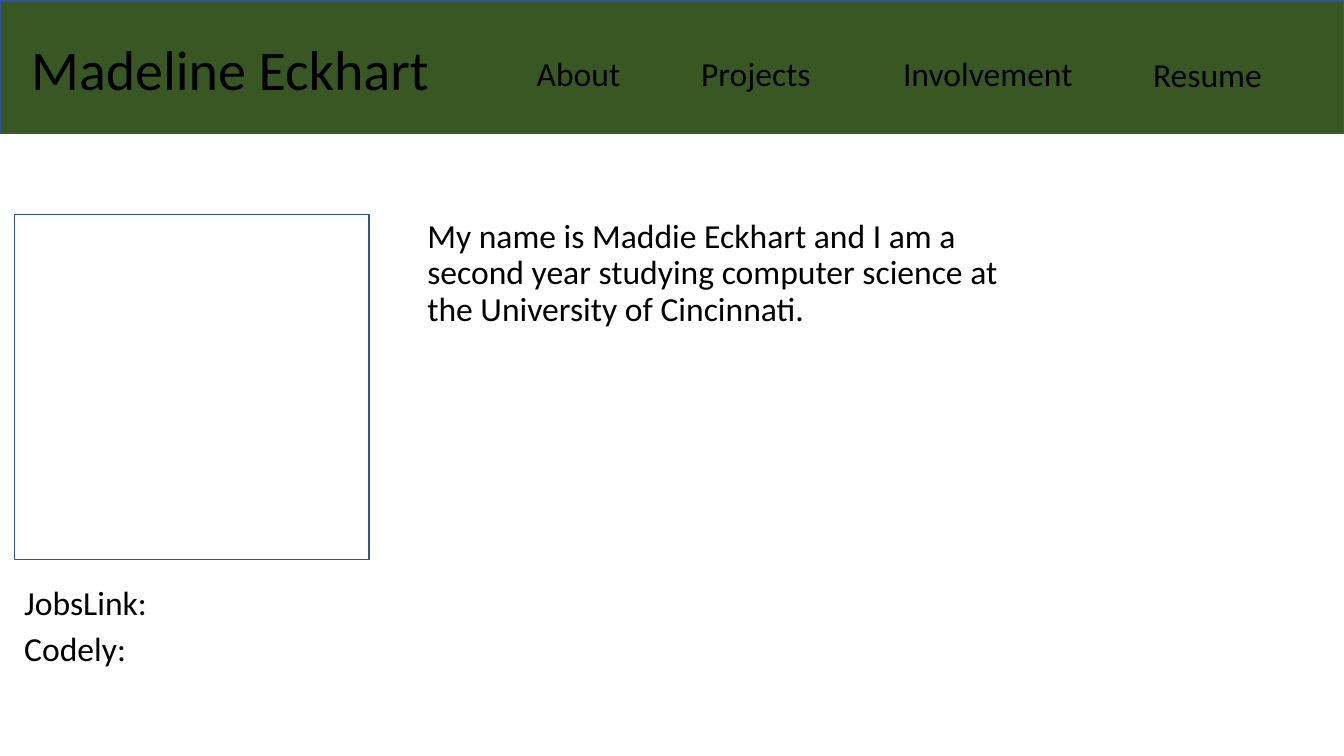
import pptx
import pptx.dml.color
import pptx.enum.shapes
import pptx.enum.text
import pptx.util

Cm, Pt = pptx.util.Cm, pptx.util.Pt
RGBColor = pptx.dml.color.RGBColor
ALIGN = pptx.enum.text.PP_ALIGN
ANCHOR = pptx.enum.text.MSO_ANCHOR

GREEN = RGBColor(0x38, 0x57, 0x23)
BLUE = RGBColor(0x32, 0x54, 0x91)
BLACK = RGBColor(0, 0, 0)

HEADING = {"alignment": ALIGN.CENTER, "line_spacing": 0.9, "space_before": Pt(0)}
BODY = {"alignment": ALIGN.LEFT, "line_spacing": 0.9, "space_before": Pt(10)}
CONTACT = {**BODY, "line_spacing": 0.8}

NAV = [
    ("About", 12.55, 0.91, 4.06),
    ("Projects", 17.02, 0.91, 4.06),
    ("Involvement", 22.48, 0.91, 4.83),
    ("Resume", 28.4, 0.94, 4.06),
]


def set_attrs(obj, values):
    """Set each named attribute of an object."""
    for name, value in values.items():
        setattr(obj, name, value)


def place(sp, left, top, width, height):
    """Position and size a shape in centimetres."""
    set_attrs(sp, {"left": Cm(left), "top": Cm(top), "width": Cm(width), "height": Cm(height)})


def write(sp, lines, para, size=24, anchor=ANCHOR.TOP):
    """Fill a shape with formatted paragraphs."""
    tf = sp.text_frame
    tf.text = "\n".join(lines)
    set_attrs(tf, {"word_wrap": True, "vertical_anchor": anchor,
                   "auto_size": pptx.enum.text.MSO_AUTO_SIZE.NONE})
    for p in tf.paragraphs:
        set_attrs(p, para)
        for r in p.runs:
            set_attrs(r.font, {"size": Pt(size), "name": "Calibri"})
            r.font.color.rgb = BLACK


def add_text(s, box, lines, para, **options):
    """Add a text box."""
    sp = s.shapes.add_textbox(*map(Cm, box))
    write(sp, lines, para, **options)


def add_rect(s, box, fill=None):
    """Add a blue-outlined rectangle with an optional fill."""
    sp = s.shapes.add_shape(pptx.enum.shapes.MSO_SHAPE.RECTANGLE, *map(Cm, box))
    sp.shadow.inherit = False
    sp.line.color.rgb = BLUE
    sp.line.width = Pt(1)
    if fill is None:
        sp.fill.background()
    else:
        sp.fill.solid()
        sp.fill.fore_color.rgb = fill
    return sp


def main():
    """Build the home page slide."""
    prs = pptx.Presentation()
    set_attrs(prs, {"slide_width": Cm(33.87), "slide_height": Cm(19.05)})
    s = prs.slides.add_slide(prs.slide_layouts[5])

    band = add_rect(s, (0, 0.03, 33.87, 3.33), GREEN)
    title = s.shapes.title
    title._element.addprevious(band._element)
    place(title, 0.36, 0.79, 10.87, 1.93)
    write(title, ["Madeline Eckhart"], HEADING, size=40, anchor=ANCHOR.BOTTOM)

    add_text(s, (10.52, 5.41, 15.37, 11.94),
             ["My name is Maddie Eckhart and I am a second year studying "
              "computer science at the University of Cincinnati."], BODY)
    add_rect(s, (0.36, 5.41, 8.94, 8.69))
    add_text(s, (0.36, 14.73, 15.37, 3.68), ["JobsLink:", "Codely:"], CONTACT)
    for label, left, top, width in NAV:
        add_text(s, (left, top, width, 1.57), [label], HEADING, anchor=ANCHOR.BOTTOM)

    prs.save("out.pptx")


if __name__ == "__main__":
    main()
